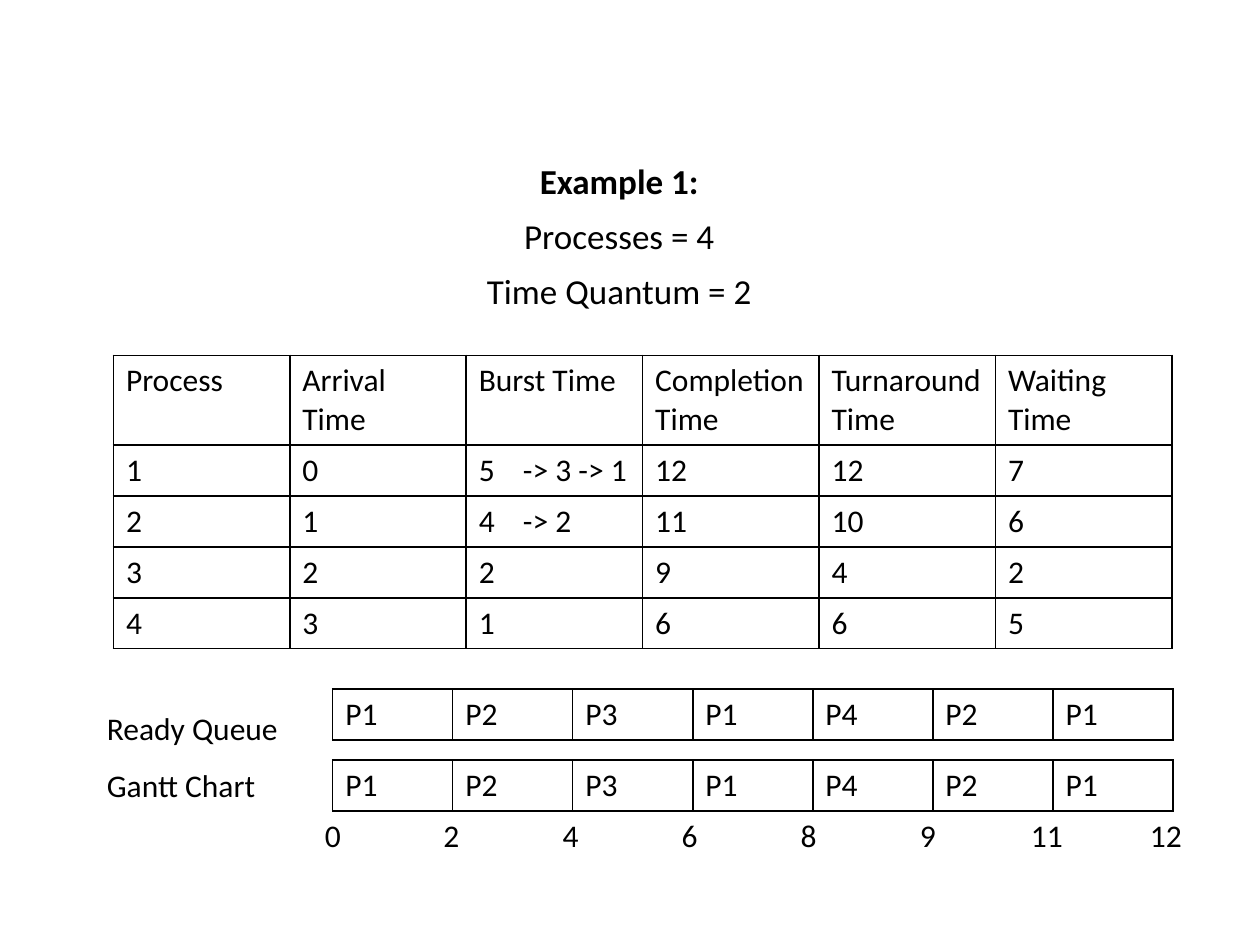
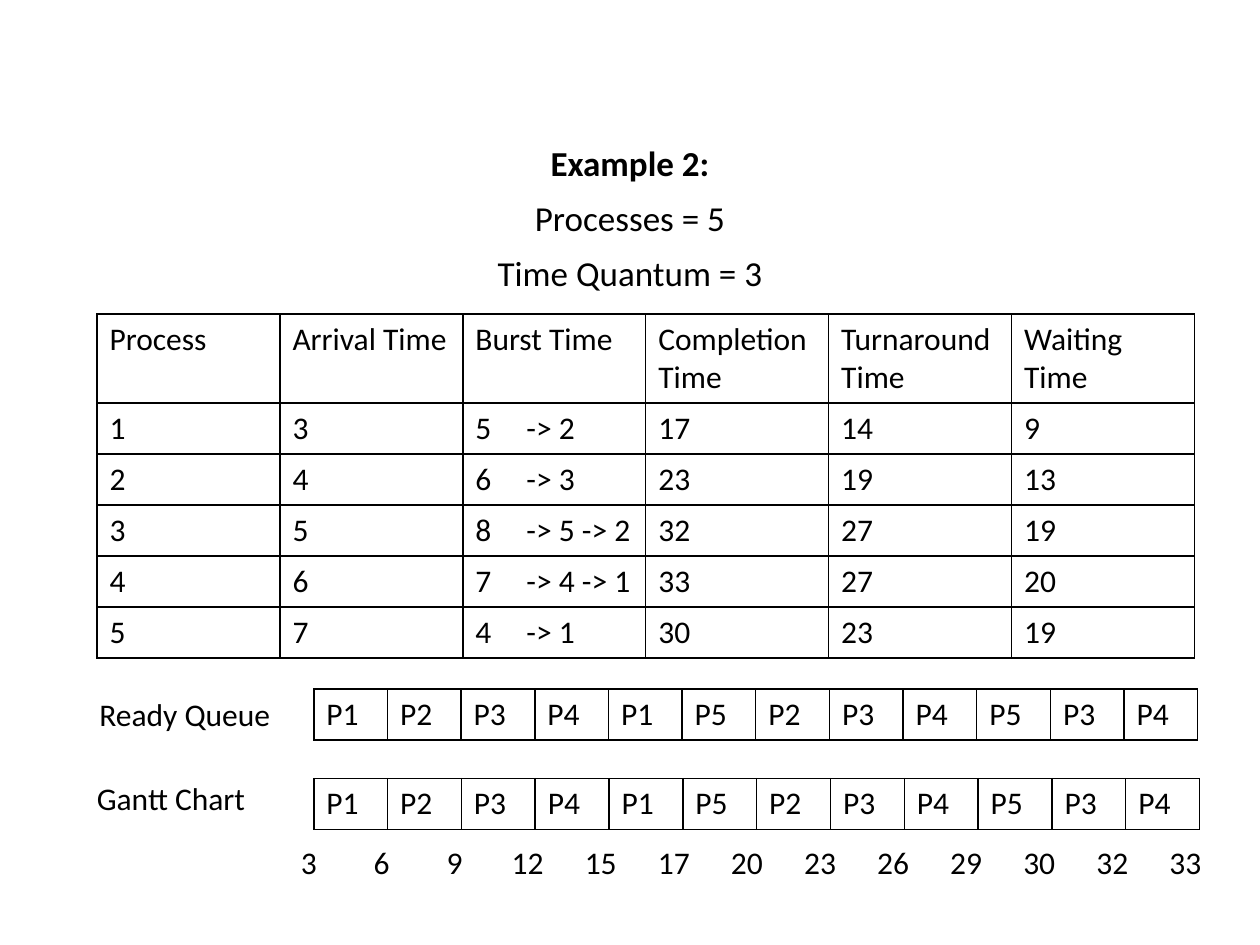
"""Build two worked round-robin scheduling examples with their tables and Gantt charts."""
from lxml import etree
from pptx import Presentation
from pptx.dml.color import RGBColor
from pptx.enum.text import MSO_AUTO_SIZE, PP_ALIGN
from pptx.oxml.ns import qn
from pptx.util import Inches, Pt

CENTER = PP_ALIGN.CENTER
FIT_SHAPE = MSO_AUTO_SIZE.SHAPE_TO_FIT_TEXT
COLORS = {"paper": "FFFFFF", "ink": "000000"}
FONT = "Calibri"
BODY_SIZE, HEADING_SIZE = 18, 20
GRID_COLUMNS, GRID_ROWS = 100, 75
GRID = Inches(0.1)
HEADER_ROW, DATA_ROW = 7.1, 4.05
HALF_DIGIT = 0.6
HEADERS = ["Process", "Arrival Time", "Burst Time",
           "Completion Time", "Turnaround Time", "Waiting Time"]

EXAMPLES = [
    {
        "heading": ["Example 1:", "Processes = 4", "Time Quantum = 2"],
        "heading_box": (4.5, 7.8, 89.3, 56.5),
        "heading_inset": 5.2,
        "table_box": (9, 28.2, 84),
        "burst_tab": 3.5,
        "processes": [
            ["1", "0", "5\t-> 3 -> 1", "12", "12", "7"],
            ["2", "1", "4\t-> 2", "11", "10", "6"],
            ["3", "2", "2", "9", "4", "2"],
            ["4", "3", "1", "6", "6", "5"],
        ],
        "queue": "P1 P2 P3 P1 P4 P2 P1".split(),
        "queue_box": (26.4, 54.7, 66.7),
        "gantt_box": (26.4, 60.3, 66.7),
        "queue_label": (7.5, 55.8, 15.8, 4),
        "gantt_label": (7.5, 60.3, 14, 4),
        "times": "0 2 4 6 8 9 11 12".split(),
        "times_box": (24.8, 64.3, 71.3, 4),
        "time_step": 9.45,
    },
    {
        "heading": ["Example 2:", "Processes = 5", "Time Quantum = 3"],
        "heading_box": (6.9, 11.1, 86.2, 54.2),
        "heading_inset": 0.5,
        "table_box": (7.7, 24.9, 87.1),
        "burst_tab": 4.05,
        "processes": [
            ["1", "3", "5\t-> 2", "17", "14", "9"],
            ["2", "4", "6\t-> 3", "23", "19", "13"],
            ["3", "5", "8\t-> 5 -> 2", "32", "27", "19"],
            ["4", "6", "7\t-> 4 -> 1", "33", "27", "20"],
            ["5", "7", "4\t-> 1", "30", "23", "19"],
        ],
        "queue": "P1 P2 P3 P4 P1 P5 P2 P3 P4 P5 P3 P4".split(),
        "queue_box": (24.9, 54.7, 70.2),
        "gantt_box": (24.9, 61.8, 70.3),
        "queue_label": (6.9, 54.7, 15.8, 4),
        "gantt_label": (6.7, 61.3, 14, 4),
        "times": "3 6 9 12 15 17 20 23 26 29 30 32 33".split(),
        "times_box": (22.9, 66.4, 76, 4),
        "time_step": 5.8,
    },
]


def grid(count):
    """Turn a number of grid steps into a length."""
    return round(count * GRID)


def color(name):
    """Look up a palette colour."""
    return RGBColor.from_string(COLORS[name])


def add_run(paragraph, text, size=BODY_SIZE, bold=False):
    """Append one run in the shared typeface."""
    run = paragraph.add_run()
    run.text = text
    run.font.name = FONT
    run.font.size = Pt(size)
    run.font.bold = bold
    run.font.color.rgb = color("ink")


def set_tabs(paragraph, stops, alignment):
    """Set tab stops, given in grid steps, on a paragraph."""
    tabs = etree.SubElement(paragraph._p.get_or_add_pPr(), qn("a:tabLst"))
    for stop in stops:
        etree.SubElement(tabs, qn("a:tab"), pos=str(grid(stop)), algn=alignment)


def add_text_box(slide, box, wrap=True):
    """Add an empty text box and return its text frame."""
    frame = slide.shapes.add_textbox(*map(grid, box)).text_frame
    frame.word_wrap = wrap
    return frame


def add_heading(slide, lines, box, inset):
    """Add the centred heading lines, the first in bold."""
    frame = add_text_box(slide, box)
    frame.margin_top = grid(inset)
    for index, line in enumerate(lines):
        paragraph = frame.add_paragraph() if index else frame.paragraphs[0]
        paragraph.alignment = CENTER
        paragraph.line_spacing = 0.9
        paragraph.space_before = Pt(10 if index else 0)
        add_run(paragraph, line, HEADING_SIZE, bold=index == 0)


def add_label(slide, text, box):
    """Add a one-line label beside a process strip."""
    frame = add_text_box(slide, box, wrap=False)
    frame.auto_size = FIT_SHAPE
    add_run(frame.paragraphs[0], text)


def add_times(slide, times, box, step):
    """Add the time marks, one under each Gantt boundary."""
    frame = add_text_box(slide, box)
    frame.auto_size = FIT_SHAPE
    paragraph = frame.paragraphs[0]
    stops = [HALF_DIGIT + step * index for index in range(1, len(times))]
    set_tabs(paragraph, stops, "ctr")
    add_run(paragraph, "\t".join(times))


def outline_cell(cell):
    """Give a cell four thin borders and no fill."""
    properties = cell._tc.get_or_add_tcPr()
    for side in ("a:lnL", "a:lnR", "a:lnT", "a:lnB"):
        line = etree.SubElement(properties, qn(side), w=str(Pt(1)))
        fill = etree.SubElement(line, qn("a:solidFill"))
        etree.SubElement(fill, qn("a:srgbClr"), val=COLORS["ink"])
    cell.fill.background()


def add_grid_table(slide, rows, box, heights, tab=None):
    """Add a plain ruled table with equal columns."""
    left, top, width = box
    shape = slide.shapes.add_table(len(rows), len(rows[0]), grid(left), grid(top),
                                   grid(width), grid(sum(heights)))
    table = shape.table
    table.first_row = table.horz_banding = False
    for column in table.columns:
        column.width = grid(width / len(rows[0]))
    for row, height, texts in zip(table.rows, heights, rows):
        row.height = grid(height)
        for cell, text in zip(row.cells, texts):
            outline_cell(cell)
            paragraph = cell.text_frame.paragraphs[0]
            if "\t" in text:
                set_tabs(paragraph, [tab], "l")
            add_run(paragraph, text)


def add_example(presentation, example):
    """Add one slide with a scheduling example."""
    slide = presentation.slides.add_slide(presentation.slide_layouts[6])
    slide.background.fill.solid()
    slide.background.fill.fore_color.rgb = color("paper")
    add_heading(slide, example["heading"], example["heading_box"], example["heading_inset"])
    processes = example["processes"]
    add_grid_table(slide, [HEADERS] + processes, example["table_box"],
                   [HEADER_ROW] + [DATA_ROW] * len(processes), example["burst_tab"])
    for strip, label in (("queue", "Ready Queue"), ("gantt", "Gantt Chart")):
        add_grid_table(slide, [example["queue"]], example[f"{strip}_box"], [DATA_ROW])
        add_label(slide, label, example[f"{strip}_label"])
    add_times(slide, example["times"], example["times_box"], example["time_step"])


def main():
    """Build and save the presentation."""
    presentation = Presentation()
    presentation.slide_width = grid(GRID_COLUMNS)
    presentation.slide_height = grid(GRID_ROWS)
    for example in EXAMPLES:
        add_example(presentation, example)
    presentation.save("out.pptx")


if __name__ == "__main__":
    main()
